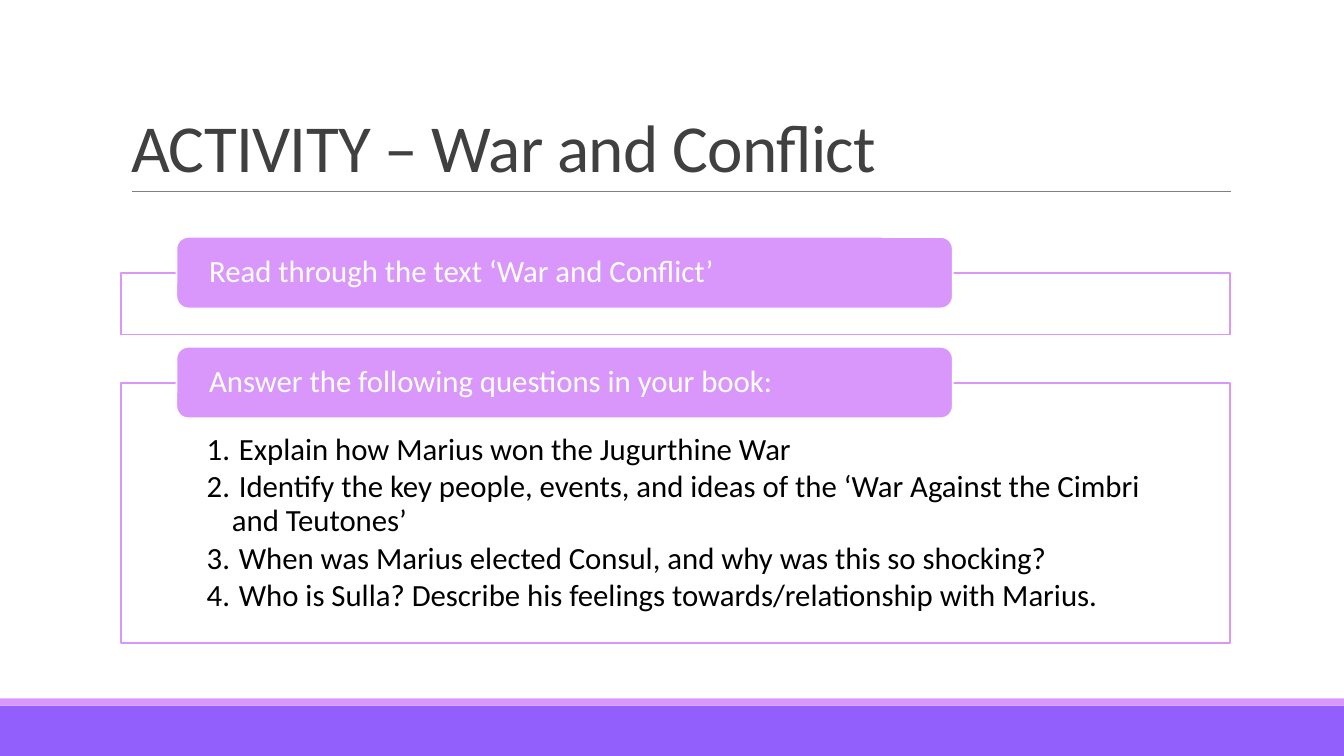
import pptx
import pptx.util
import pptx.dml.color
import pptx.enum.shapes
import pptx.enum.text
import pptx.oxml.ns
import lxml.etree

Inches = pptx.util.Inches
Shape = pptx.enum.shapes.MSO_SHAPE
Anchor = pptx.enum.text.MSO_ANCHOR
PINK, PURPLE, WHITE = "DA97FB", "925FFD", "FFFFFF"
LEFT, WIDE = 1.2, 11


def paint(format, color):
    format.solid()
    format.fore_color.rgb = pptx.dml.color.RGBColor.from_string(color)


def write(shape, lines, size=22, color=WHITE, anchor=Anchor.MIDDLE,
          inset=(0.29, 0, 0.29, 0), spacing=0.9, after=0, number=False):
    """Fill a shape with left-aligned paragraphs; inset is left, top, right, bottom."""
    frame = shape.text_frame
    frame.text = "\n".join(lines)
    frame.word_wrap = True
    frame.auto_size = pptx.enum.text.MSO_AUTO_SIZE.NONE
    frame.vertical_anchor = anchor
    (frame.margin_left, frame.margin_top,
     frame.margin_right, frame.margin_bottom) = map(Inches, inset)
    for para in frame.paragraphs:
        if number:
            props = para._p.get_or_add_pPr()
            props.set("marL", str(Inches(0.25)))
            props.set("indent", str(Inches(-0.25)))
            lxml.etree.SubElement(props, pptx.oxml.ns.qn("a:buAutoNum"),
                                  type="arabicPeriod")
        para.alignment = pptx.enum.text.PP_ALIGN.LEFT
        para.line_spacing = spacing
        para.space_before = pptx.util.Pt(0)
        para.space_after = pptx.util.Pt(after)
        font = para.runs[0].font
        font.name = "Calibri"
        font.size = pptx.util.Pt(size)
        paint(font.fill, color)


deck = pptx.Presentation()
deck.slide_width, deck.slide_height = Inches(13.33), Inches(7.5)
slide = deck.slides.add_slide(deck.slide_layouts[1])
shapes = slide.shapes

# Footer bands and title rule
for top, height, color in [(7, 0.5, PURPLE), (6.93, 0.07, PINK)]:
    band = shapes.add_shape(Shape.RECTANGLE, 0, Inches(top),
                            deck.slide_width, Inches(height))
    band.shadow.inherit = False
    paint(band.fill, color)
    band.line.fill.background()

rule = shapes.add_connector(pptx.enum.shapes.MSO_CONNECTOR.STRAIGHT,
                            Inches(1.31), Inches(1.9), Inches(12.21), Inches(1.9))
paint(rule.line.fill, "808080")
rule.line.width = pptx.util.Pt(0.5)
lxml.etree.SubElement(rule._element.spPr, pptx.oxml.ns.qn("a:effectLst"))

# Title
title = shapes.title
title.left, title.top = Inches(LEFT), Inches(0.31)
title.width, title.height = Inches(WIDE), Inches(1.59)
write(title, ["ACTIVITY – War and Conflict"], size=48, color="404040",
      anchor=Anchor.BOTTOM, inset=(0.1, 0.05, 0.1, 0.05), spacing=0.85)
title.text_frame.paragraphs[0].runs[0].font._element.set("spc", "-50")

# Framed steps, each with a heading over its top edge
tasks = slide.placeholders[1]
write(tasks, [
    " Explain how Marius won the Jugurthine War",
    " Identify the key people, events, and ideas of the ‘War Against the Cimbri and Teutones’",
    " When was Marius elected Consul, and why was this so shocking?",
    " Who is Sulla? Describe his feelings towards/relationship with Marius.",
], color="000000", anchor=Anchor.TOP, inset=(0.85, 0.5, 0.85, 0.17),
    after=3.3, number=True)

blank = shapes.add_shape(Shape.RECTANGLE, 0, 0, 0, 0)
blank.shadow.inherit = False

steps = [
    (blank, 2.71, 0.61, "Read through the text ‘War and Conflict’"),
    (tasks, 3.8, 2.58, "Answer the following questions in your book:"),
]
for box, top, height, text in steps:
    box.left, box.top = Inches(LEFT), Inches(top)
    box.width, box.height = Inches(WIDE), Inches(height)
    head = shapes.add_shape(Shape.ROUNDED_RECTANGLE, Inches(1.75),
                            Inches(top - 0.36), Inches(7.7), Inches(0.71))
    head.shadow.inherit = False
    write(head, [text])
    for part, fill, line in [(box, WHITE, PINK), (head, PINK, WHITE)]:
        paint(part.fill, fill)
        paint(part.line.fill, line)
        part.line.width = pptx.util.Pt(1.25)

deck.save("out.pptx")
